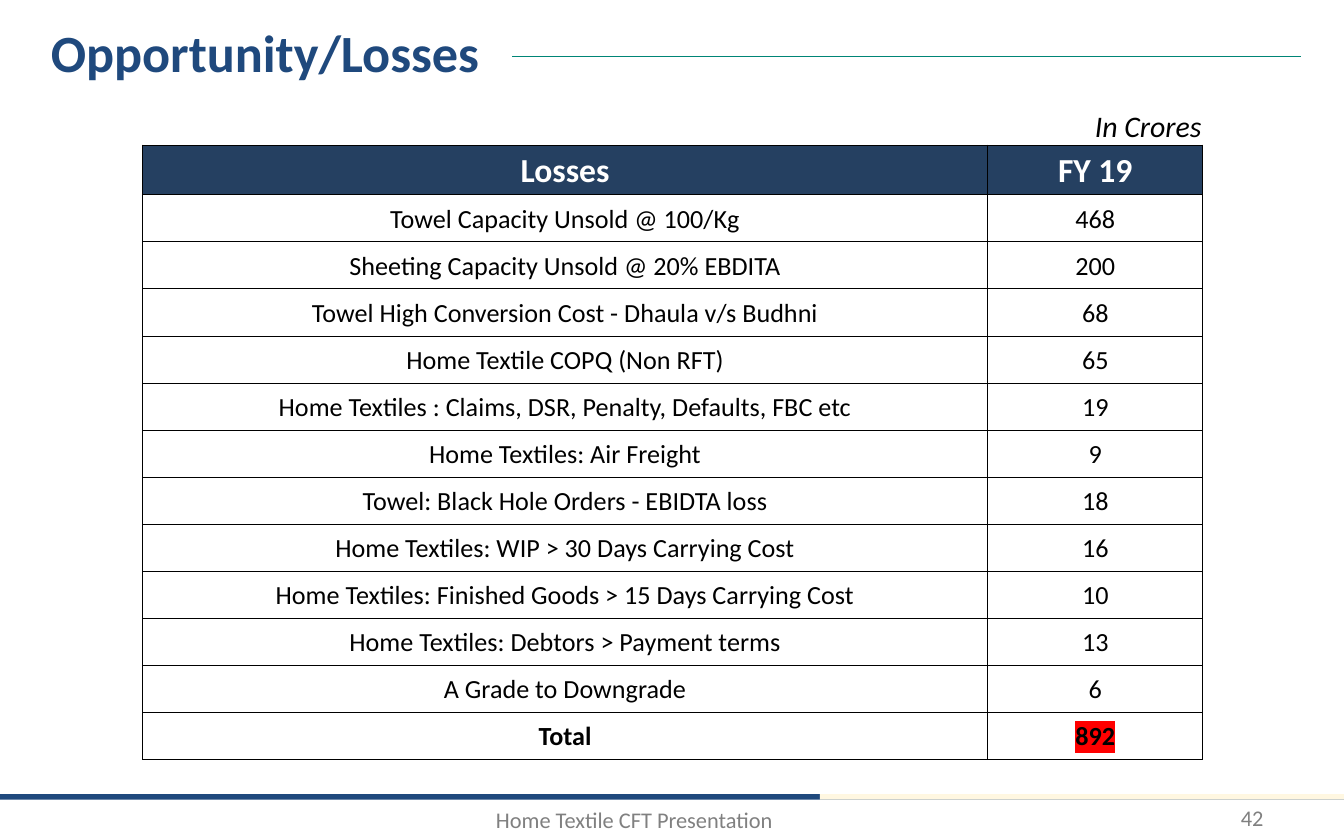
"""Build the Opportunity/Losses slide with its table of losses in crores."""
from dataclasses import dataclass

from lxml.etree import SubElement
from pptx import Presentation
from pptx.dml.color import RGBColor
from pptx.enum.shapes import MSO_CONNECTOR, MSO_SHAPE
from pptx.enum.text import MSO_ANCHOR, PP_ALIGN
from pptx.oxml.ns import qn
from pptx.util import Inches, Pt


@dataclass(frozen=True)
class Theme:
    font: str = "Calibri"
    navy: str = "1F497D"
    header: str = "254061"
    cream: str = "FFF7E1"
    teal: str = "008576"
    grey: str = "808080"
    black: str = "000000"
    white: str = "FFFFFF"
    red: str = "FF0000"
    title: int = 28
    heading: int = 18
    unit: int = 16
    body: int = 14
    footer: int = 12
    rule: float = 0.5


LOSSES = [
    ("Towel Capacity Unsold @ 100/Kg", 468),
    ("Sheeting Capacity Unsold @ 20% EBDITA", 200),
    ("Towel High Conversion Cost - Dhaula v/s Budhni", 68),
    ("Home Textile COPQ (Non RFT)", 65),
    ("Home Textiles : Claims, DSR, Penalty, Defaults, FBC etc", 19),
    ("Home Textiles: Air Freight", 9),
    ("Towel: Black Hole Orders - EBIDTA loss", 18),
    ("Home Textiles: WIP > 30 Days Carrying Cost", 16),
    ("Home Textiles: Finished Goods > 15 Days Carrying Cost", 10),
    ("Home Textiles: Debtors > Payment terms", 13),
    ("A Grade to Downgrade", 6),
]


class SlideBuilder:
    def __init__(self, slide, theme):
        self.slide = slide
        self.theme = theme

    def set_text(self, tf, text, size, color, align, bold=False, italic=False):
        tf.text = text
        p = tf.paragraphs[0]
        p.alignment = align
        for r in p.runs:
            r.font.name = self.theme.font
            r.font.size = Pt(size)
            r.font.bold = bold
            r.font.italic = italic
            r.font.color.rgb = RGBColor.from_string(color)

    def bar(self, x, y, w, h, color):
        sp = self.slide.shapes.add_shape(
            MSO_SHAPE.RECTANGLE, Inches(x), Inches(y), Inches(w), Inches(h))
        sp.shadow.inherit = False
        sp.fill.solid()
        sp.fill.fore_color.rgb = RGBColor.from_string(color)
        sp.line.fill.background()

    def text(self, x, y, w, h, text, size, color, align,
             anchor=MSO_ANCHOR.TOP, bold=False):
        sp = self.slide.shapes.add_textbox(
            Inches(x), Inches(y), Inches(w), Inches(h))
        tf = sp.text_frame
        tf.word_wrap = True
        tf.vertical_anchor = anchor
        self.set_text(tf, text, size, color, align, bold)

    def line(self, x1, y1, x2, y2, color):
        cxn = self.slide.shapes.add_connector(
            MSO_CONNECTOR.STRAIGHT, Inches(x1), Inches(y1), Inches(x2), Inches(y2))
        cxn.line.color.rgb = RGBColor.from_string(color)
        cxn.line.width = Pt(self.theme.rule)
        SubElement(cxn._element.spPr, qn("a:effectLst"))

    def borders(self, cell, visible):
        tc_pr = cell._tc.get_or_add_tcPr()
        for side in "LRTB":
            ln = SubElement(tc_pr, qn(f"a:ln{side}"), w=str(Pt(self.theme.rule)))
            if side in visible:
                fill = SubElement(ln, qn("a:solidFill"))
                SubElement(fill, qn("a:srgbClr"), val=self.theme.black)
            else:
                SubElement(ln, qn("a:noFill"))

    def cell(self, cell, text, size, color, align=PP_ALIGN.CENTER,
             anchor=MSO_ANCHOR.MIDDLE, fill=None, visible="LRTB", **style):
        cell.margin_left = cell.margin_right = cell.margin_top = Inches(0.01)
        cell.margin_bottom = 0
        cell.vertical_anchor = anchor
        self.borders(cell, visible)
        if fill:
            cell.fill.solid()
            cell.fill.fore_color.rgb = RGBColor.from_string(fill)
        else:
            cell.fill.background()
        self.set_text(cell.text_frame, text, size, color, align, **style)

    def highlight(self, cell, color):
        r_pr = cell.text_frame.paragraphs[0].runs[0].font._element
        mark = SubElement(r_pr, qn("a:highlight"))
        SubElement(mark, qn("a:srgbClr"), val=color)
        r_pr.find(qn("a:latin")).addprevious(mark)

    def table(self, x, y, widths, heights, losses):
        t = self.theme
        tbl = self.slide.shapes.add_table(
            len(heights), len(widths), Inches(x), Inches(y),
            Inches(sum(widths)), Inches(sum(heights))).table
        tbl.first_row = tbl.horz_banding = False
        for col, width in zip(tbl.columns, widths):
            col.width = Inches(width)
        for row, height in zip(tbl.rows, heights):
            row.height = Inches(height)

        total = sum(value for _, value in losses)
        rows = [("", "In Crores"), ("Losses", "FY 19"), *losses, ("Total", total)]
        last = len(rows) - 1
        for i, row in enumerate(rows):
            for j, value in enumerate(row):
                cell = tbl.cell(i, j)
                if i == 0:
                    self.cell(cell, value, t.unit, t.black, PP_ALIGN.RIGHT,
                              MSO_ANCHOR.BOTTOM, visible="B", italic=True)
                elif i == 1:
                    self.cell(cell, value, t.heading, t.white,
                              fill=t.header, bold=True)
                else:
                    self.cell(cell, str(value), t.body, t.black, bold=i == last)
        self.highlight(tbl.cell(last, 1), t.red)


def main():
    prs = Presentation()
    prs.slide_width, prs.slide_height = Inches(10), Inches(6.25)
    t = Theme()
    s = SlideBuilder(prs.slides.add_slide(prs.slide_layouts[6]), t)

    s.bar(0, 5.91, 10, 0.04, t.navy)
    s.bar(6.1, 5.91, 3.9, 0.04, t.cream)
    s.text(1.26, 5.95, 6.92, 0.27, "Home Textile CFT Presentation",
           t.footer, t.grey, PP_ALIGN.CENTER)
    s.text(7.17, 5.96, 2.33, 0.25, "42", t.footer, t.grey,
           PP_ALIGN.RIGHT, MSO_ANCHOR.MIDDLE)
    s.text(0.28, 0.1, 9.3, 0.63, "Opportunity/Losses",
           t.title, t.navy, PP_ALIGN.LEFT, bold=True)
    s.line(3.81, 0.42, 9.68, 0.42, t.teal)
    s.table(1.06, 0.73, [6.29, 1.6], [0.35, 0.37] + [0.35] * 12, LOSSES)
    prs.save("out.pptx")


if __name__ == "__main__":
    main()
